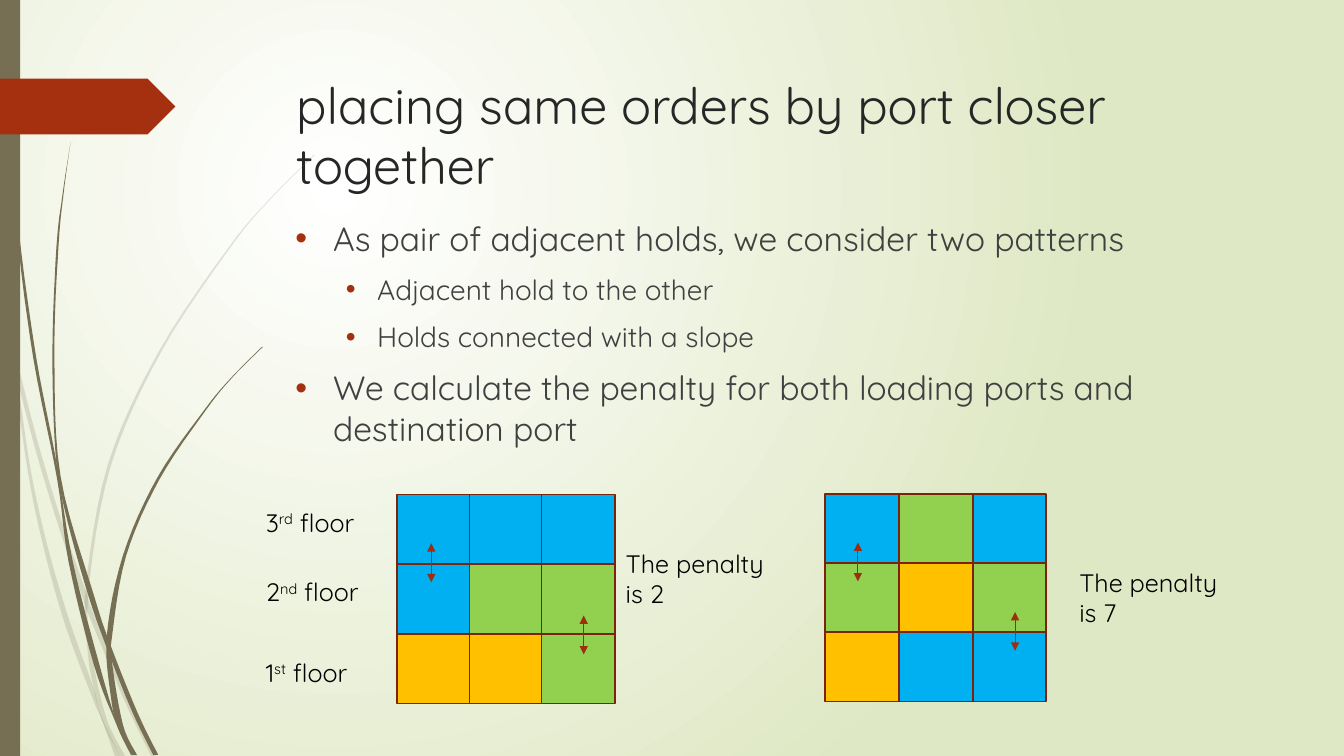
import lxml.etree
import pptx
import pptx.dml.color
import pptx.enum.shapes
import pptx.enum.text
import pptx.oxml.ns
import pptx.util

Cm = pptx.util.Cm
Pt = pptx.util.Pt
qn = pptx.oxml.ns.qn
FONT = "Quicksand"
RUST, BROWN = "A53010", "766F54"
BLUE, GREEN, YELLOW = "00B0F0", "92D050", "FFC000"


def colour(value):
    return pptx.dml.color.RGBColor.from_string(value)


def smooth(points, steps=6):
    """Return points on a Catmull-Rom curve through the given points."""
    padded = [points[0], *points, points[-1]]
    curve = [points[0]]
    for a, b, c, d in zip(padded, padded[1:], padded[2:], padded[3:]):
        for step in range(1, steps + 1):
            t = step / steps
            curve.append(tuple(
                (2 * q + (r - p) * t + (2 * p - 5 * q + 4 * r - s) * t**2
                 + (3 * q - p - 3 * r + s) * t**3) / 2
                for p, q, r, s in zip(a, b, c, d)))
    return curve


presentation = pptx.Presentation()
presentation.slide_width = Cm(33.87)
presentation.slide_height = Cm(19.05)
slide = presentation.slides.add_slide(presentation.slide_layouts[1])
shapes = slide.shapes

# Background: radial gradient centred in the upper left quarter
background = slide.background.fill
background.gradient()
for stop, value in zip(background.gradient_stops, ("FFFFFF", "DFE8C4")):
    stop.color.rgb = colour(value)
gradient = slide.element.find(".//" + qn("a:gradFill"))
gradient.remove(gradient.find(qn("a:lin")))
circle = lxml.etree.SubElement(gradient, qn("a:path"), path="circle")
lxml.etree.SubElement(circle, qn("a:fillToRect"),
                      l="50000", t="50000", r="100000", b="100000")

# Grass stems: opacity, left edge and right edge, in units of 2.54 cm
stems = [
    (20, [(0, 2.99), (0.1, 3.44), (0.17, 3.76), (0.36, 4.49), (0.58, 5.22),
          (0.84, 5.99), (0.88, 6.1), (1.23, 6.94), (1.5, 7.5)],
         [(0, 2.82), (0.09, 3.22), (0.14, 3.45), (0.36, 4.33), (0.62, 5.2),
          (0.85, 5.86), (0.92, 6.07), (1.27, 6.92), (1.55, 7.5)]),
    (20, [(0.11, 3.5), (0.28, 4.7), (0.44, 5.46), (0.65, 6.21), (0.92, 6.93),
          (1.01, 7.14), (1.14, 7.5)],
         [(0.11, 3.5), (0.17, 3.76), (0.31, 4.69), (0.48, 5.45), (0.7, 6.19),
          (0.93, 6.83), (0.99, 7.07), (1.19, 7.5)]),
    (20, [(3.12, 1.53), (2.68, 1.97), (2.28, 2.44), (1.58, 3.48), (1.07, 4.61),
          (0.85, 5.84), (0.87, 6.46), (0.93, 6.83), (1.01, 7.14), (1.19, 7.5)],
         [(3.12, 1.54), (2.68, 1.98), (2.29, 2.45), (1.6, 3.49), (1.1, 4.62),
          (0.88, 5.84), (0.91, 6.46), (1.05, 7.11), (1.24, 7.5)]),
    (100, [(0.03, 0), (0.07, 1.1), (0.17, 2.33), (0.33, 3.55), (0.57, 4.77),
           (0.68, 5.57), (0.93, 6.59), (1.17, 7.22), (1.3, 7.49)],
          [(0.04, 0), (0.08, 1.09), (0.19, 2.32), (0.36, 3.55), (0.55, 4.53),
           (0.72, 5.56), (0.98, 6.57), (1.16, 7.17), (1.31, 7.49)]),
    (100, [(0.7, 1.41), (0.62, 1.93), (0.56, 2.45), (0.52, 3.49), (0.55, 4.49),
           (0.64, 5.05), (0.88, 5.92), (1.11, 6.56), (1.32, 7.08), (1.52, 7.49)],
          [(0.7, 1.41), (0.63, 1.93), (0.58, 2.45), (0.54, 3.49), (0.6, 4.72),
           (0.93, 5.9), (1.1, 6.41), (1.36, 7.06), (1.57, 7.49)]),
    (100, [(2.6, 3.44), (2.31, 3.73), (2.04, 4.05), (1.56, 4.74), (1.22, 5.51),
           (1.06, 6.31), (1.1, 6.91), (1.17, 7.22), (1.31, 7.49)],
          [(2.61, 3.44), (2.31, 3.74), (2.05, 4.06), (1.58, 4.76), (1.25, 5.52),
           (1.11, 6.33), (1.11, 6.56), (1.22, 7.19), (1.36, 7.49)]),
]
for opacity, left_edge, right_edge in stems:
    # Freeform points are rounded to whole units, so use thousandths
    outline = [(x * 1000, y * 1000)
               for x, y in smooth(left_edge) + smooth(right_edge)[::-1]]
    builder = shapes.build_freeform(*outline[0], scale=Cm(2.54) / 1000)
    builder.add_line_segments(outline[1:], close=True)
    stem = builder.convert_to_shape()
    stem.shadow.inherit = False
    stem.fill.solid()
    stem.fill.fore_color.rgb = colour(BROWN)
    stem.line.fill.background()
    tint = stem.element.spPr.find(qn("a:solidFill"))[0]
    lxml.etree.SubElement(tint, qn("a:alpha"), val=str(opacity * 1000))

# Side bar and page marker
preset = pptx.enum.shapes.MSO_SHAPE
for kind, top, width, height, value in [
    (preset.RECTANGLE, 0, 0.51, 19.05, BROWN),
    (preset.PENTAGON, 1.98, 4.42, 1.41, RUST),
]:
    ornament = shapes.add_shape(kind, 0, Cm(top), Cm(width), Cm(height))
    ornament.shadow.inherit = False
    ornament.fill.solid()
    ornament.fill.fore_color.rgb = colour(value)
    ornament.line.fill.background()

# Title
title = shapes.title
title.left, title.top, title.width, title.height = Cm(7.21), Cm(1.73), Cm(24.77), Cm(3.56)
title.text_frame.text = "placing same orders by port closer together"
title.text_frame.vertical_anchor = pptx.enum.text.MSO_ANCHOR.TOP
title.text_frame.auto_size = pptx.enum.text.MSO_AUTO_SIZE.NONE
paragraph = title.text_frame.paragraphs[0]
paragraph.alignment = pptx.enum.text.PP_ALIGN.LEFT
paragraph.font.name, paragraph.font.size = FONT, Pt(36)
paragraph.font.color.rgb = colour("262626")

# Bullet list
body = slide.placeholders[1]
body.left, body.top, body.width, body.height = Cm(7.19), Cm(5.36), Cm(24.77), Cm(10.49)
bullets = [
    (0, "As pair of adjacent holds, we consider two patterns"),
    (1, "Adjacent hold to the other"),
    (1, "Holds connected with a slope"),
    (0, "We calculate the penalty for both loading ports and destination port"),
]
level_formats = [(24, 0.95, -0.95), (20, 2.06, -0.79)]
body.text_frame.text = "\n".join(text for level, text in bullets)
body.text_frame.auto_size = pptx.enum.text.MSO_AUTO_SIZE.NONE
for paragraph, (level, text) in zip(body.text_frame.paragraphs, bullets):
    size, margin, indent = level_formats[level]
    paragraph.level = level
    paragraph.space_before = Pt(10)
    paragraph.font.name, paragraph.font.size = FONT, Pt(size)
    paragraph.font.color.rgb = colour("404040")
    properties = paragraph._p.get_or_add_pPr()
    properties.set("marL", str(Cm(margin)))
    properties.set("indent", str(Cm(indent)))
    bullet_colour = lxml.etree.Element(qn("a:buClr"))
    lxml.etree.SubElement(bullet_colour, qn("a:srgbClr"), val=RUST)
    bullet_font = lxml.etree.Element(qn("a:buFont"), typeface="Arial")
    bullet_mark = lxml.etree.Element(qn("a:buChar"), char="•")
    position = properties.index(properties.find(qn("a:spcBef"))) + 1
    properties[position:position] = [bullet_colour, bullet_font, bullet_mark]

# Hold grids: left, top, column step, row step, floors from 3rd to 1st
grids = [
    (10.01, 12.46, 1.82, 1.76,
     [(BLUE, BLUE, BLUE), (BLUE, GREEN, GREEN), (YELLOW, YELLOW, GREEN)]),
    (20.8, 12.45, 1.86, 1.74,
     [(BLUE, GREEN, BLUE), (GREEN, YELLOW, GREEN), (YELLOW, BLUE, BLUE)]),
]
for left, top, column_step, row_step, floors in grids:
    for row, floor in enumerate(floors):
        for column, value in enumerate(floor):
            hold = shapes.add_shape(preset.RECTANGLE, Cm(left + column * column_step),
                                    Cm(top + row * row_step), Cm(1.85), Cm(1.75))
            hold.shadow.inherit = False
            hold.fill.solid()
            hold.fill.fore_color.rgb = colour(value)
            hold.line.color.rgb = colour("7A240C")
            hold.line.width = Pt(1.25)

# Slope arrows between floors
for x, y in [(10.87, 13.69), (14.71, 15.51), (21.62, 13.67), (25.58, 15.42)]:
    slope = shapes.add_connector(pptx.enum.shapes.MSO_CONNECTOR.STRAIGHT,
                                 Cm(x), Cm(y), Cm(x), Cm(y + 0.98))
    slope.line.color.rgb = colour("9E2E0F")
    slope.line.width = Pt(0.75)
    for end in ("a:headEnd", "a:tailEnd"):
        lxml.etree.SubElement(slope.line._get_or_add_ln(), qn(end), type="triangle")
    lxml.etree.SubElement(slope.element.spPr, qn("a:effectLst"))

# Labels: left, top, width, height, then plain and superscript runs in turn
labels = [
    (15.52, 13.69, 4.19, 1.8, ["The penalty is 2"]),
    (26.95, 14.17, 4.42, 1.8, ["The penalty is 7"]),
    (6.45, 12.65, 3, 1.02, ["3", "rd", " floor"]),
    (6.45, 14.4, 3, 1.02, ["2", "nd", " floor"]),
    (6.45, 16.43, 3, 1.02, ["1", "st", " floor"]),
]
for left, top, width, height, texts in labels:
    label = shapes.add_textbox(Cm(left), Cm(top), Cm(width), Cm(height))
    label.text_frame.word_wrap = True
    paragraph = label.text_frame.paragraphs[0]
    paragraph.font.name, paragraph.font.size = FONT, Pt(18)
    paragraph.font.color.rgb = colour("000000")
    for index, text in enumerate(texts):
        run = paragraph.add_run()
        run.text = text
        if index == 1:
            run._r.get_or_add_rPr().set("baseline", "30000")

presentation.save("out.pptx")
